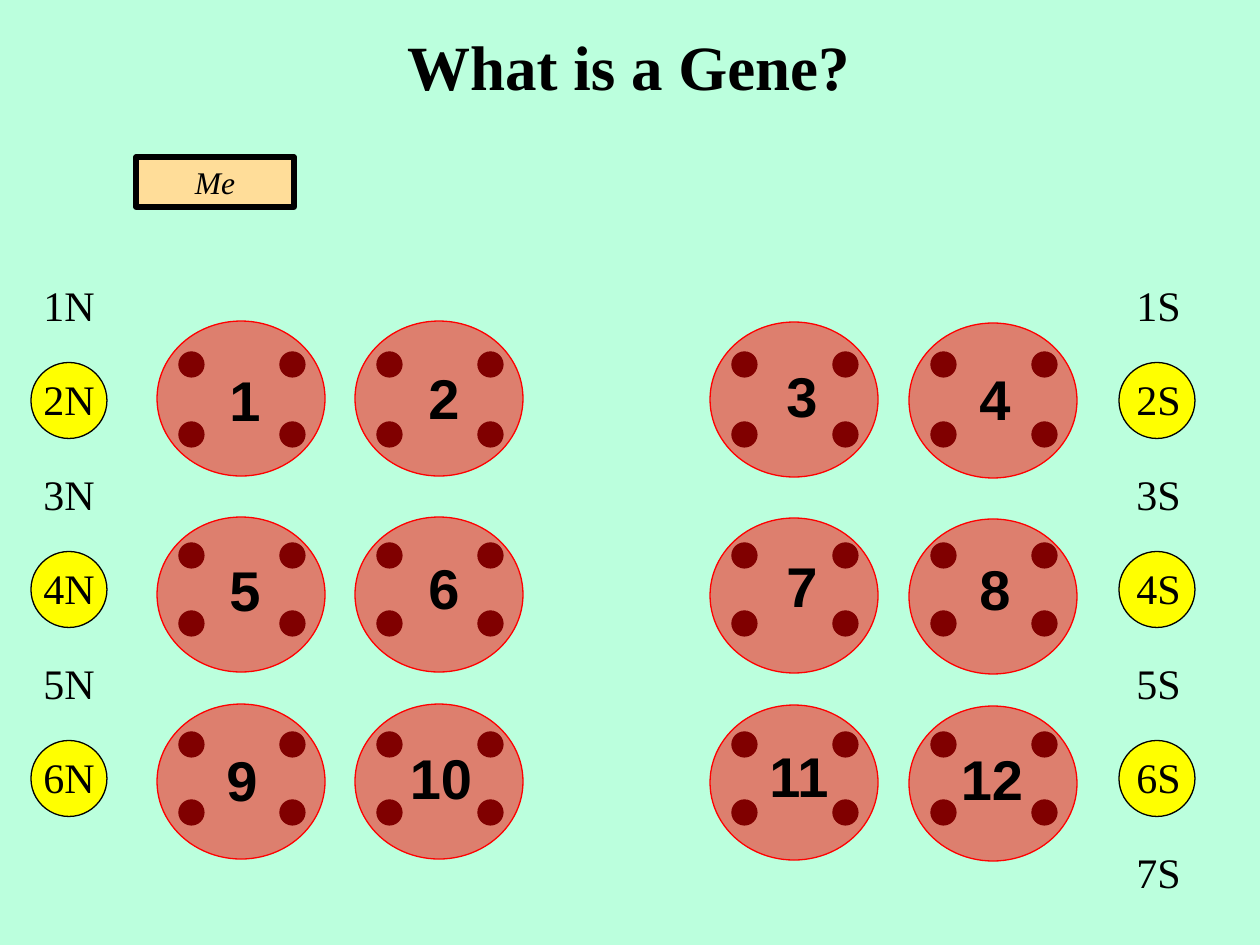
from lxml.etree import SubElement
from pptx import Presentation
from pptx.dml.color import RGBColor
from pptx.enum.shapes import MSO_SHAPE
from pptx.enum.text import MSO_ANCHOR, MSO_AUTO_SIZE, PP_ALIGN
from pptx.oxml.ns import qn
from pptx.util import Emu, Pt

PX_PER_INCH = 126
COLORS = {
    "background": "BBFFDD",
    "ink": "000000",
    "marker": "FFFF00",
    "tag": "FFDD99",
    "cell": "FF0000",
}
SERIF = "Times New Roman"
SANS = "Arial"

CELL_WIDTH, CELL_HEIGHT = 168, 155
CELL_LEFTS = [157, 355, 710, 909]
CELL_DROPS = [0, 0, 1, 2]
CELL_TOPS = [321, 517, 704]
DOT_TOPS = [(352, 422), (543, 611), (732, 800)]
DOT_INSETS = [22, 123]
DOT_SIZE = 25
NUMBER_LEFTS = [189, 388, 746, 939]
NUMBER_TOPS = [359, 357, 355, 358]
NUMBER_SHIFTS = [0, 0, -3]
NUMBER_PITCH = 190
LABEL_PITCH = 94.5


def px(length):
    return Emu(round(length * 914400 / PX_PER_INCH))


def color(name):
    return RGBColor.from_string(COLORS[name])


def write(shape, text, size, font, align=PP_ALIGN.CENTER, bold=False, italic=False):
    frame = shape.text_frame
    frame.word_wrap = True
    frame.auto_size = MSO_AUTO_SIZE.SHAPE_TO_FIT_TEXT
    frame.vertical_anchor = MSO_ANCHOR.TOP
    para = frame.paragraphs[0]
    para.text = text
    para.alignment = align
    span = para.runs[0]
    span.font.size = Pt(size)
    span.font.name = font
    span.font.bold = bold
    span.font.italic = italic
    span.font.color.rgb = color("ink")


def add_text(page, box, *content, **style):
    write(page.shapes.add_textbox(*map(px, box)), *content, **style)


def add_filled(page, kind, box, fill, line="ink", weight=0.75):
    shape = page.shapes.add_shape(kind, *map(px, box))
    shape.shadow.inherit = False
    shape.fill.solid()
    shape.fill.fore_color.rgb = color(fill)
    shape.line.color.rgb = color(line)
    shape.line.width = Pt(weight)
    return shape


def add_tag(page, box, text):
    tag = add_filled(page, MSO_SHAPE.RECTANGLE, box, "tag", weight=3)
    write(tag, text, 18, SERIF, italic=True)


def add_label_column(page, left, top, letter, count, indent):
    for index in range(count):
        label_top = top + index * LABEL_PITCH
        if index % 2:
            add_filled(page, MSO_SHAPE.OVAL, (left, label_top - 5, 76, 76), "marker")
        add_text(page, (left + indent, label_top, 84, 63),
                 f"{index + 1}{letter}", 24, SERIF, align=PP_ALIGN.LEFT)


def add_cell(page, left, top, dot_tops):
    for dot_top in dot_tops:
        for inset in DOT_INSETS:
            add_filled(page, MSO_SHAPE.OVAL,
                       (left + inset, dot_top, DOT_SIZE, DOT_SIZE), "ink")
    cell = add_filled(page, MSO_SHAPE.OVAL,
                      (left, top, CELL_WIDTH, CELL_HEIGHT), "cell", "cell")
    tint = cell.fill._xPr.find(qn("a:solidFill"))[0]
    SubElement(tint, qn("a:alpha")).set("val", "50000")


def add_cell_grid(page):
    columns = len(CELL_LEFTS)
    for row, (top, dot_tops) in enumerate(zip(CELL_TOPS, DOT_TOPS)):
        for column, left in enumerate(CELL_LEFTS):
            add_cell(page, left, top + CELL_DROPS[column], dot_tops)
            number_box = (NUMBER_LEFTS[column] + NUMBER_SHIFTS[row],
                          NUMBER_TOPS[column] + row * NUMBER_PITCH, 112, 81)
            add_text(page, number_box, str(row * columns + column + 1),
                     32, SANS, bold=True)


def main():
    deck = Presentation()
    deck.slide_width, deck.slide_height = px(1260), px(945)
    page = deck.slides.add_slide(deck.slide_layouts[6])
    page.background.fill.solid()
    page.background.fill.fore_color.rgb = color("background")
    add_tag(page, (136, 157, 158, 50), "Me")
    add_label_column(page, 31, 273, "N", 6, indent=0)
    add_label_column(page, 1119, 273, "S", 7, indent=5)
    add_cell_grid(page)
    add_text(page, (9, 21, 1239, 89), "What is a Gene?", 36, SERIF, bold=True)
    deck.save("out.pptx")


if __name__ == "__main__":
    main()
